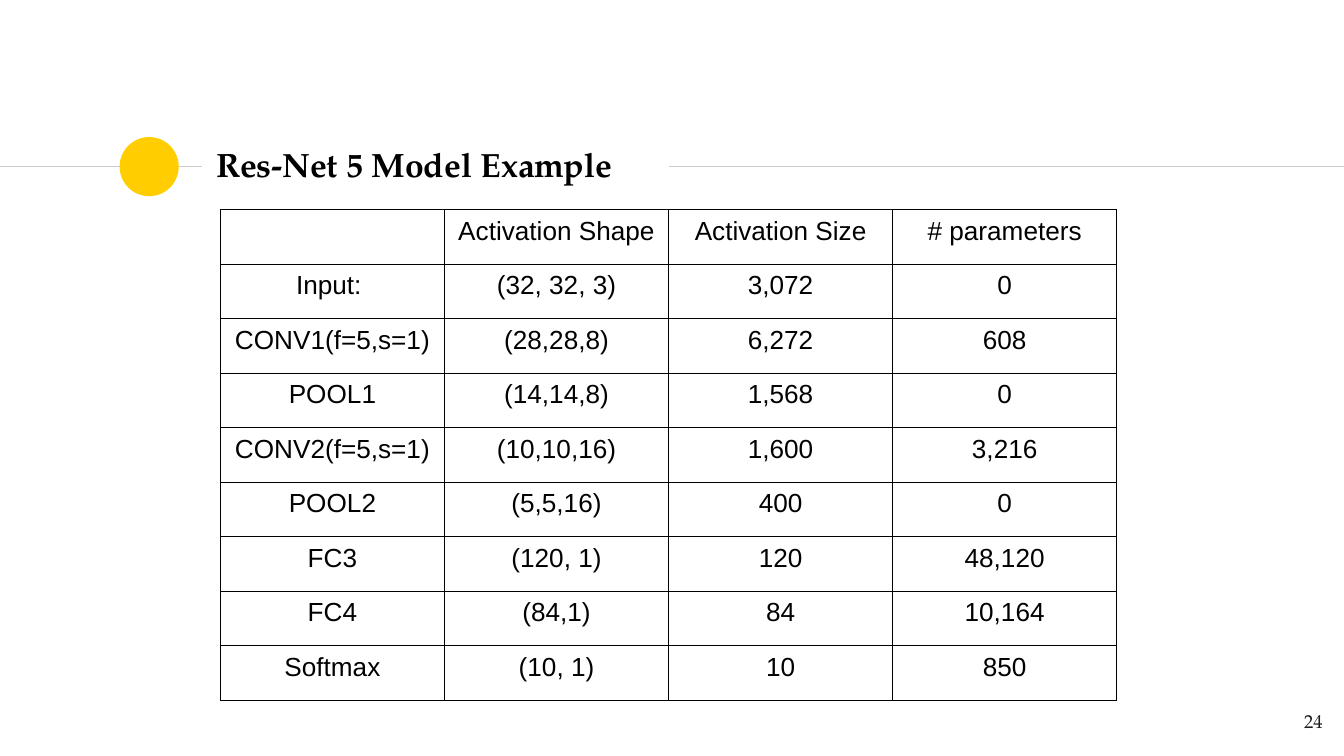
from lxml import etree
from pptx import Presentation
from pptx.dml.color import RGBColor
from pptx.enum.shapes import MSO_CONNECTOR, MSO_SHAPE
from pptx.enum.text import MSO_ANCHOR, PP_ALIGN
from pptx.oxml.ns import qn
from pptx.util import Inches, Pt

STRAIGHT, ELLIPSE = MSO_CONNECTOR.STRAIGHT, MSO_SHAPE.OVAL
TOP, MIDDLE = MSO_ANCHOR.TOP, MSO_ANCHOR.MIDDLE
LEFT, CENTER, RIGHT = PP_ALIGN.LEFT, PP_ALIGN.CENTER, PP_ALIGN.RIGHT
SERIF, SANS = "TeX Gyre Pagella", "Arial"
BLACK, INK, GRAY, YELLOW = "000000", "1D1D1B", "CCCCCC", "FFCD00"

# Content
TITLE = "Res-Net 5 Model Example"
PAGE_NUMBER = "24"
LAYERS = [
    ("", "Activation Shape", "Activation Size", "# parameters"),
    ("Input: ", "(32, 32, 3)", "3,072", "0"),
    ("CONV1(f=5,s=1)", "(28,28,8)", "6,272", "608"),
    ("POOL1", "(14,14,8)", "1,568", "0"),
    ("CONV2(f=5,s=1)", "(10,10,16)", "1,600", "3,216"),
    ("POOL2", "(5,5,16)", "400", "0"),
    ("FC3", "(120, 1)", "120", "48,120"),
    ("FC4", "(84,1)", "84", "10,164"),
    ("Softmax", "(10, 1)", "10", "850"),
]

# Layout in inches, on a 16:9 slide
WIDTH = 10
HEIGHT = WIDTH * 9 / 16
RULE_Y = 1.24
RULES = [(0, 1.5), (4.98, 5.76), (5.76, WIDTH)]
DOT_LEFT, DOT_SIZE = 0.89, 0.44
TABLE = (1.64, 1.56, 6.67, 3.65)


def color(value):
    return RGBColor.from_string(value)


def write(frame, text, size=14, font=SANS, ink=BLACK, bold=False, align=LEFT):
    para = frame.paragraphs[0]
    para.alignment = align
    para.font.size = Pt(size)
    if text:
        span = para.add_run()
        span.text = text
        span.font.size, span.font.name, span.font.bold = Pt(size), font, bold
        span.font.color.rgb = color(ink)


def add_text(page, place, text, anchor=TOP, **style):
    frame = page.shapes.add_textbox(*map(Inches, place)).text_frame
    frame.word_wrap = True
    frame.vertical_anchor = anchor
    frame.margin_left = frame.margin_right = Inches(0.1)
    frame.margin_top = frame.margin_bottom = Inches(0.1)
    write(frame, text, **style)


def add_rule(page, start, end):
    rule = page.shapes.add_connector(
        STRAIGHT, Inches(start), Inches(RULE_Y), Inches(end), Inches(RULE_Y))
    rule.line.color.rgb = color(GRAY)
    rule.line.width = Pt(0.75)
    etree.SubElement(rule._element.spPr, qn("a:effectLst"))


def add_borders(cell):
    properties = cell._tc.get_or_add_tcPr()
    for side in ("lnL", "lnR", "lnT", "lnB"):
        line = etree.SubElement(properties, qn("a:" + side), w=str(Pt(0.75)))
        fill = etree.SubElement(line, qn("a:solidFill"))
        etree.SubElement(fill, qn("a:srgbClr"), val=BLACK)


def add_layer_table(page):
    rows, columns = len(LAYERS), len(LAYERS[0])
    table = page.shapes.add_table(rows, columns, *map(Inches, TABLE)).table
    table.first_row = table.horz_banding = False
    for column in table.columns:
        column.width = Inches(TABLE[2] / columns)
    for row, values in zip(table.rows, LAYERS):
        row.height = Inches(TABLE[3] / rows)
        for cell, value in zip(row.cells, values):
            add_borders(cell)
            cell.fill.background()
            write(cell.text_frame, value, align=CENTER)


deck = Presentation()
deck.slide_width, deck.slide_height = Inches(WIDTH), Inches(HEIGHT)
page = deck.slides.add_slide(deck.slide_layouts[6])

# Title line with its dot
for start, end in RULES:
    add_rule(page, start, end)
dot = page.shapes.add_shape(
    ELLIPSE, Inches(DOT_LEFT), Inches(RULE_Y - DOT_SIZE / 2),
    Inches(DOT_SIZE), Inches(DOT_SIZE))
dot.shadow.inherit = False
dot.fill.solid()
dot.fill.fore_color.rgb = color(YELLOW)
dot.line.fill.background()
add_text(page, (1.51, 0.98, 3.49, 0.48), TITLE, anchor=MIDDLE,
         size=18, font=SERIF, bold=True)

# Table and page number
add_layer_table(page)
add_text(page, (9.34, 5.2, 0.6, 0.43), PAGE_NUMBER,
         size=10, font=SERIF, ink=INK, align=RIGHT)

deck.save("out.pptx")
